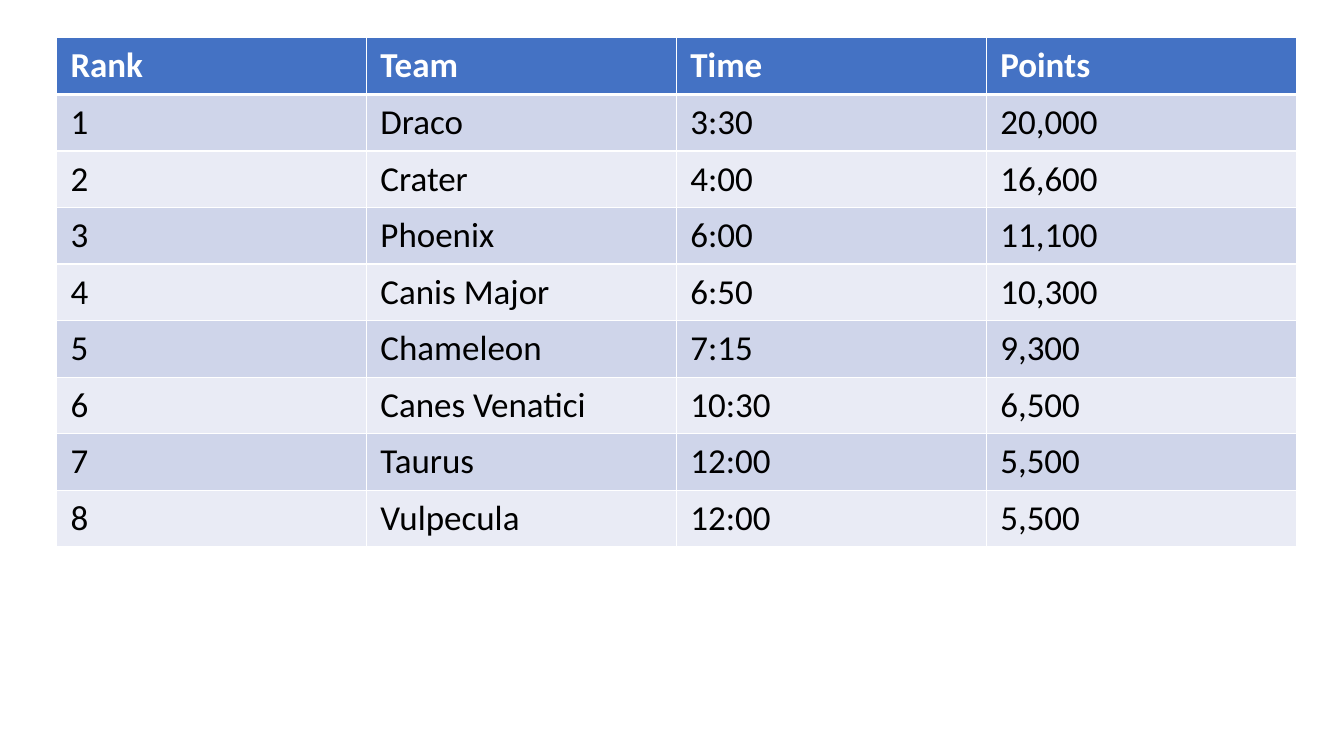
from pptx import Presentation
from pptx.dml.color import RGBColor
from pptx.oxml import parse_xml
from pptx.oxml.ns import nsdecls
from pptx.util import Pt

COLORS = {
    "header": "4472C4",
    "odd_row": "CFD5EA",
    "even_row": "E9EBF5",
    "rule": "FFFFFF",
    "header_text": "FFFFFF",
    "body_text": "000000",
}
FONT = "Calibri"
TEXT_SIZE = 25
RULE, HEADER_RULE = 1, 3
INSET_X, INSET_Y = 9.9, 4.9

HEADINGS = ("Rank", "Team", "Time", "Points")
RESULTS = (
    ("Draco", "3:30", "20,000"),
    ("Crater", "4:00", "16,600"),
    ("Phoenix", "6:00", "11,100"),
    ("Canis Major", "6:50", "10,300"),
    ("Chameleon", "7:15", "9,300"),
    ("Canes Venatici", "10:30", "6,500"),
    ("Taurus", "12:00", "5,500"),
    ("Vulpecula", "12:00", "5,500"),
)


def add_borders(cell, top, bottom):
    properties = cell._tc.get_or_add_tcPr()
    for side, width in (("L", RULE), ("R", RULE), ("T", top), ("B", bottom)):
        properties.append(parse_xml(
            f'<a:ln{side} {nsdecls("a")} w="{Pt(width)}"><a:solidFill>'
            f'<a:srgbClr val="{COLORS["rule"]}"/></a:solidFill></a:ln{side}>'
        ))


def fill_cell(cell, text, rank):
    is_header = rank == 0
    add_borders(
        cell,
        top=HEADER_RULE if rank == 1 else RULE,
        bottom=HEADER_RULE if is_header else RULE,
    )
    band = "header" if is_header else "odd_row" if rank % 2 else "even_row"
    cell.fill.solid()
    cell.fill.fore_color.rgb = RGBColor.from_string(COLORS[band])
    cell.margin_left = cell.margin_right = Pt(INSET_X)
    cell.margin_top = cell.margin_bottom = Pt(INSET_Y)
    run = cell.text_frame.paragraphs[0].add_run()
    run.text = text
    run.font.name = FONT
    run.font.size = Pt(TEXT_SIZE)
    run.font.bold = is_header
    text_color = "header_text" if is_header else "body_text"
    run.font.color.rgb = RGBColor.from_string(COLORS[text_color])


def add_ranking(slide, left, top, width, height):
    rows = [HEADINGS]
    rows += [(str(rank), *result) for rank, result in enumerate(RESULTS, 1)]
    ranking = slide.shapes.add_table(
        len(rows), len(HEADINGS), Pt(left), Pt(top), Pt(width), Pt(height)
    ).table
    for rank, row in enumerate(rows):
        for column, text in enumerate(row):
            fill_cell(ranking.cell(rank, column), text, rank)


def main():
    presentation = Presentation()
    presentation.slide_width = Pt(960)
    presentation.slide_height = Pt(540)
    slide = presentation.slides.add_slide(presentation.slide_layouts[6])
    add_ranking(slide, left=40.5, top=27, width=885.6, height=363.6)
    presentation.save("out.pptx")


if __name__ == "__main__":
    main()
